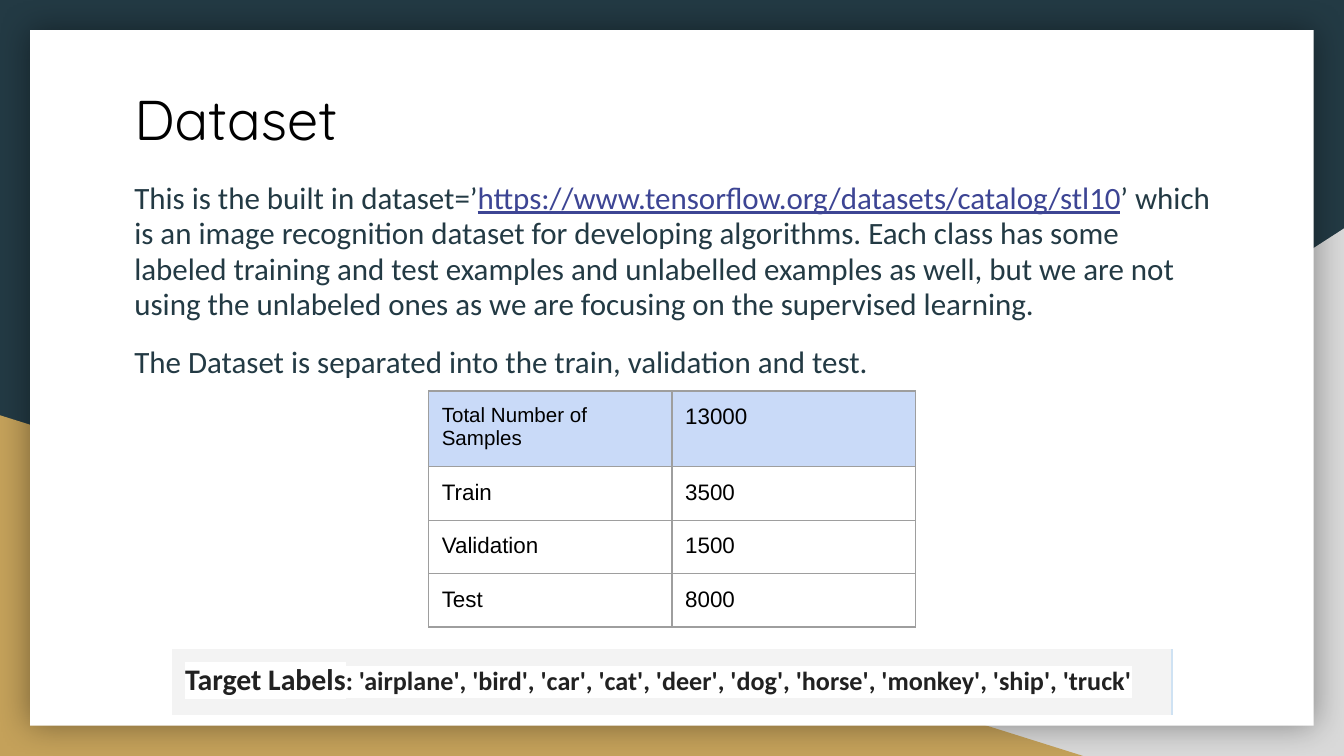
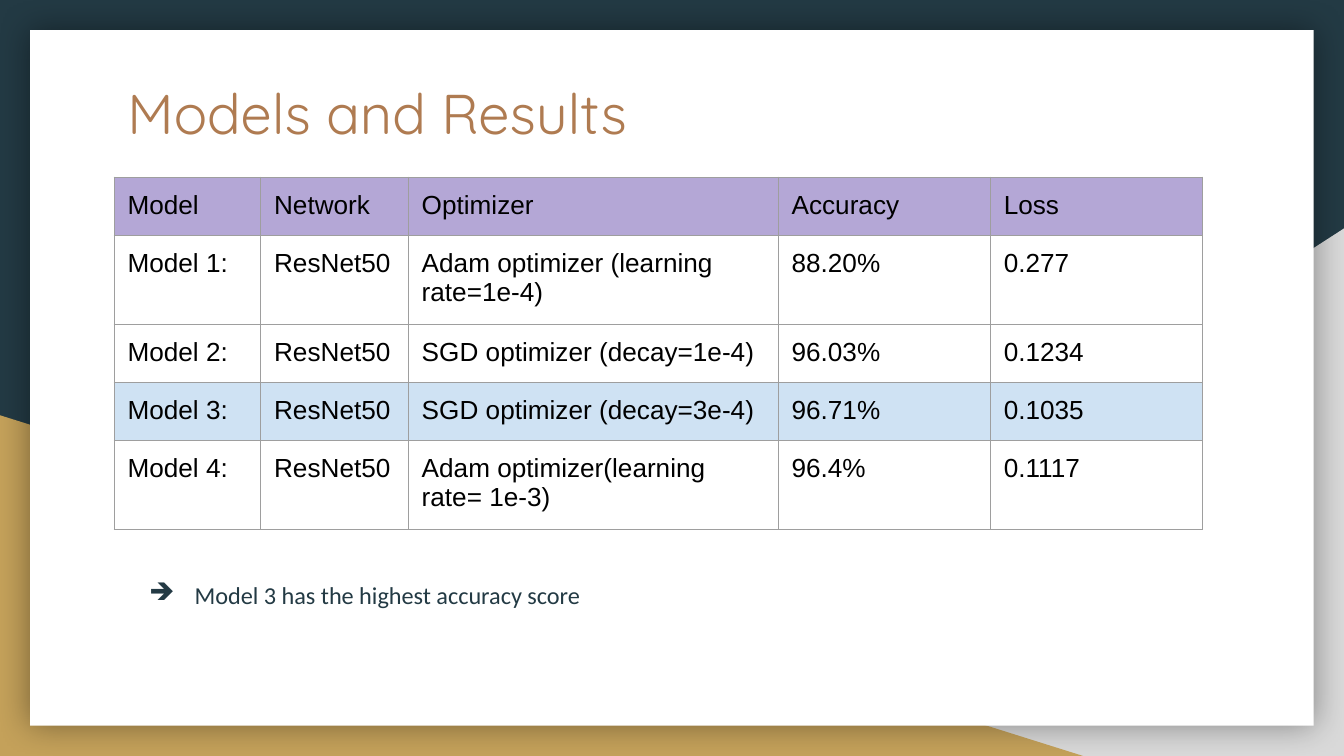
import pptx
import pptx.dml.color
import pptx.enum.shapes
import pptx.oxml
import pptx.oxml.ns
import pptx.util
import lxml.etree

Cm = pptx.util.Cm
Pt = pptx.util.Pt
SHAPES = pptx.enum.shapes.MSO_SHAPE

COLORS = {
    "navy": "233A44", "grey": "D9D9D9", "gold": "C4A15A", "white": "FFFFFF",
    "black": "000000", "copper": "AF7B51", "link": "3D4594", "border": "9E9E9E",
    "blue": "C9DAF8", "purple": "B4A7D6", "best": "CFE2F3", "panel": "F3F3F3",
    "ink": "212121",
}
PAGE = (25.4, 14.29)
CARD_MARGIN = 0.57
INSET = Cm(0.25)
TITLE = {"name": "Quicksand", "size": Pt(30)}
BODY = {"name": "Calibri", "size": Pt(16.6)}
NOTE = {"name": "Calibri", "size": Pt(13)}
CELL_12 = {"name": "Arial", "size": Pt(12)}
CELL_11 = {"name": "Arial", "size": Pt(11)}
CELL_14 = {"name": "Arial", "size": Pt(14)}
LABEL_16 = {"name": "Calibri", "size": Pt(16), "bold": True}
LABEL_14 = {"name": "Calibri", "size": Pt(14), "bold": True}


def rgb(name):
    """Return the named colour."""
    return pptx.dml.color.RGBColor.from_string(COLORS[name])


def add_element(parent, tag, **attributes):
    """Append a drawing element to a parent."""
    return lxml.etree.SubElement(parent, pptx.oxml.ns.qn(tag), attributes)


def apply_format(target, values):
    """Set each attribute of a target from a dict."""
    for key, value in values.items():
        setattr(target, key, value)


def add_span(para, text, values, color, highlight=None):
    """Add a formatted run to a paragraph."""
    span = para.add_run()
    span.text = text
    span.font.color.rgb = rgb(color)
    apply_format(span.font, values)
    if highlight:
        mark = lxml.etree.Element(pptx.oxml.ns.qn("a:highlight"))
        add_element(mark, "a:srgbClr", val=COLORS[highlight])
        span.font._element.find(pptx.oxml.ns.qn("a:solidFill")).addnext(mark)


def add_box(page, area):
    """Add a wrapping text box and return its text frame."""
    frame = page.shapes.add_textbox(*map(Cm, area)).text_frame
    apply_format(frame, {
        "word_wrap": True, "margin_left": INSET, "margin_right": INSET,
        "margin_top": INSET, "margin_bottom": INSET,
    })
    return frame


def add_title(page, area, text, color):
    """Add the slide title."""
    add_span(add_box(page, area).paragraphs[0], text, TITLE, color)


def add_panel(page, kind, area, color):
    """Add a filled shape without outline or shadow."""
    shape = page.shapes.add_shape(kind, *map(Cm, area))
    shape.shadow.inherit = False
    shape.fill.solid()
    shape.fill.fore_color.rgb = rgb(color)
    shape.line.fill.background()
    return shape


def add_backdrop(page):
    """Draw the navy ground, two corner triangles and the white card."""
    page.background.fill.solid()
    page.background.fill.fore_color.rgb = rgb("navy")
    width, height = PAGE
    corner = add_panel(page, SHAPES.RIGHT_TRIANGLE,
                       (9.96, 4.32, width - 9.96, height - 4.32), "grey")
    corner._element.spPr.xfrm.set("flipH", "1")
    add_panel(page, SHAPES.RIGHT_TRIANGLE, (0, 7.85, 20.47, height - 7.85), "gold")
    card = add_panel(page, SHAPES.RECTANGLE,
                     (CARD_MARGIN, CARD_MARGIN, width - 2 * CARD_MARGIN,
                      height - 2 * CARD_MARGIN), "white")
    effects = card._element.spPr.find(pptx.oxml.ns.qn("a:effectLst"))
    shadow = add_element(effects, "a:outerShdw", blurRad=str(Pt(18)), dist="0",
                         dir="0", algn="ctr", rotWithShape="0")
    tint = add_element(shadow, "a:srgbClr", val=COLORS["black"])
    add_element(tint, "a:alpha", val="40000")


def set_borders(cell, borders):
    """Draw the given cell sides and hide the others."""
    properties = cell._tc.get_or_add_tcPr()
    for index, side in enumerate("LRTB"):
        line = add_element(properties, "a:ln" + side, w=str(Pt(0.75)))
        if side in borders:
            fill = add_element(line, "a:solidFill")
            add_element(fill, "a:srgbClr", val=COLORS[borders[side]])
        else:
            add_element(line, "a:noFill")
        properties.insert(index, line)


def add_grid(page, corner, widths, heights, rows, fills, borders):
    """Add a table whose cells are lists of runs, with one fill per row."""
    area = (*corner, sum(widths), sum(heights))
    table = page.shapes.add_table(len(rows), len(widths), *map(Cm, area)).table
    apply_format(table, {"first_row": False, "horz_banding": False})
    for column, width in zip(table.columns, widths):
        column.width = Cm(width)
    for row, height, spans, color in zip(table.rows, heights, rows, fills):
        row.height = Cm(height)
        for cell, runs in zip(row.cells, spans):
            apply_format(cell, {
                "margin_left": INSET, "margin_right": INSET,
                "margin_top": INSET, "margin_bottom": INSET,
            })
            if color:
                cell.fill.solid()
                cell.fill.fore_color.rgb = rgb(color)
            else:
                cell.fill.background()
            set_borders(cell, borders)
            for run in runs:
                add_span(cell.text_frame.paragraphs[0], *run)


def add_description(page, area):
    """Add the two paragraphs about the dataset."""
    frame = add_box(page, area)
    paragraphs = [
        [("This is the built in dataset=’", BODY, "navy"),
         ("https://www.tensorflow.org/datasets/catalog/stl10",
          {**BODY, "underline": True}, "link"),
         ("’ which is an image recognition dataset for developing algorithms. "
          "Each class has some labeled training and test examples and unlabelled "
          "examples as well, but we are not using the unlabeled ones as we are "
          "focusing on the supervised learning.", BODY, "navy")],
        [("The Dataset is separated into the train, validation and test.",
          BODY, "navy")],
    ]
    for index, runs in enumerate(paragraphs):
        para = frame.add_paragraph() if index else frame.paragraphs[0]
        apply_format(para, {"line_spacing": 0.95, "space_before": Pt(12 * index)})
        for run in runs:
            add_span(para, *run)


def add_arrow_note(page, area, text):
    """Add a note with an arrow bullet."""
    para = add_box(page, area).paragraphs[0]
    properties = para._p.get_or_add_pPr()
    properties.set("marL", str(Cm(1.27)))
    properties.set("indent", str(Cm(-0.86)))
    color = add_element(properties, "a:buClr")
    add_element(color, "a:srgbClr", val=COLORS["navy"])
    add_element(properties, "a:buChar", char="➔")
    para.line_spacing = 1.15
    add_span(para, text, NOTE, "navy")


def build_dataset(page):
    """Build the dataset slide."""
    add_backdrop(page)
    add_title(page, (2.29, 1.35, 20.85, 2.64), "Dataset", "black")
    add_description(page, (2.29, 3.18, 20.85, 7.92))
    counts = [("Total Number of Samples", "13000"), ("Train", "3500"),
              ("Validation", "1500"), ("Test", "8000")]
    rows = [[[(text, CELL_12, "black")] for text in row] for row in counts]
    rows[0][0] = [(counts[0][0], CELL_11, "black")]
    add_grid(page, (8.1, 7.39), [4.6] * 2, [1.3] + [0.92] * 3, rows,
             ["blue"] + [None] * 3, dict.fromkeys("LRTB", "border"))
    labels = [
        ("Target Labels", LABEL_16, "ink", "white"),
        (": 'airplane', 'bird', 'car', 'cat', 'deer', 'dog', 'horse', 'monkey', "
         "'ship', 'truck'", LABEL_14, "ink", "white"),
    ]
    add_grid(page, (3.25, 12.27), [18.9], [1.24], [[labels]], ["panel"],
             {"R": "best"})


def build_results(page):
    """Build the models and results slide."""
    add_backdrop(page)
    add_title(page, (2.16, 1.24, 20.85, 1.8), "Models and Results", "copper")
    add_arrow_note(page, (2.16, 10.64, 21.82, 1.65),
                   "Model 3 has the highest accuracy score")
    results = [
        ("Model", "Network", "Optimizer", "Accuracy", "Loss"),
        ("Model 1:", "ResNet50", "Adam optimizer (learning rate=1e-4)", "88.20%", "0.277"),
        ("Model 2:", "ResNet50", "SGD optimizer (decay=1e-4)", "96.03%", "0.1234"),
        ("Model 3:", "ResNet50", "SGD optimizer (decay=3e-4)", "96.71%", "0.1035"),
        ("Model 4:", "ResNet50", "Adam optimizer(learning rate= 1e-3)", "96.4%", "0.1117"),
    ]
    rows = [[[(text, CELL_14, "black")] for text in row] for row in results]
    add_grid(page, (2.16, 3.35), [2.77, 2.79, 6.99, 4.01, 4.01], [1.07] * 5, rows,
             ["purple", None, None, "best", None], dict.fromkeys("LRTB", "border"))


def main():
    """Build and save the deck."""
    deck = pptx.Presentation()
    deck.slide_width, deck.slide_height = map(Cm, PAGE)
    for build in (build_dataset, build_results):
        build(deck.slides.add_slide(deck.slide_layouts[6]))
    deck.save("out.pptx")


if __name__ == "__main__":
    main()
